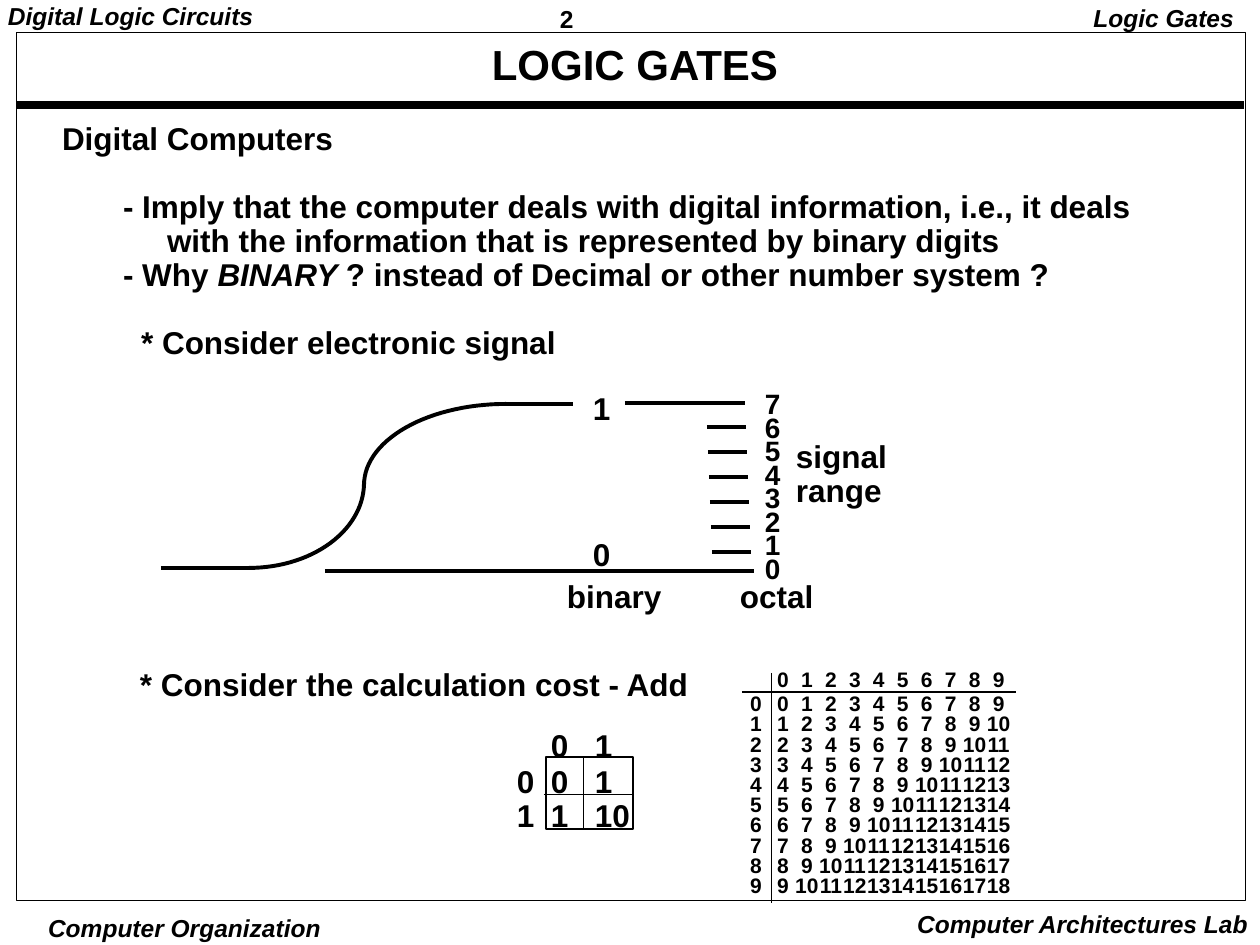
"""Build the Logic Gates slide on why digital computers use binary."""
import math

import pptx
import pptx.dml.color
import pptx.enum.shapes
import pptx.enum.text
import pptx.util
from lxml import etree

BLACK = pptx.dml.color.RGBColor(0, 0, 0)
LEFT = pptx.enum.text.PP_ALIGN.LEFT
CENTER = pptx.enum.text.PP_ALIGN.CENTER
RIGHT = pptx.enum.text.PP_ALIGN.RIGHT
TOP = pptx.enum.text.MSO_ANCHOR.TOP
MIDDLE = pptx.enum.text.MSO_ANCHOR.MIDDLE
RECTANGLE = pptx.enum.shapes.MSO_SHAPE.RECTANGLE
STRAIGHT = pptx.enum.shapes.MSO_CONNECTOR.STRAIGHT
NO_AUTOFIT = pptx.enum.text.MSO_AUTO_SIZE.NONE
DRAWING = "{http://schemas.openxmlformats.org/drawingml/2006/main}"
PLAIN_TABLE = "{2D5ABB26-0587-4C30-8999-92F81FD0307C}"
SCALE = 914400 / 126


def px(length):
    return round(length * SCALE)


def write(paragraph, text, size=18, italic=False, align=LEFT, spacing=0.9):
    paragraph.alignment = align
    paragraph.line_spacing = pptx.util.Pt(size * 1.2 * spacing)
    run = paragraph.add_run()
    run.text = text
    run.font.name = "Arial"
    run.font.size = pptx.util.Pt(size)
    run.font.bold = True
    run.font.italic = italic
    run.font.color.rgb = BLACK


deck = pptx.Presentation()
deck.slide_width, deck.slide_height = px(1260), px(945)
slide = deck.slides.add_slide(deck.slide_layouts[1])
shapes = slide.shapes
title, body = slide.placeholders

for holder, box, inset in (
    (title, (59, 40, 1152, 53), (9, 4)),
    (body, (49, 117, 1104, 251), (13, 6)),
):
    holder.left, holder.top, holder.width, holder.height = map(px, box)
    frame = holder.text_frame
    frame.auto_size = NO_AUTOFIT
    frame.vertical_anchor = TOP
    frame.margin_left = frame.margin_right = px(inset[0])
    frame.margin_top = frame.margin_bottom = px(inset[1])

write(title.text_frame.paragraphs[0], "LOGIC GATES", size=24, align=CENTER)

points = (
    (["Digital Computers"], 0, 0, 0),
    (["- Imply that the computer deals with digital information, i.e., it deals "
      "with the information that is represented by binary digits"], 105, -44, 34),
    (["- Why ", "BINARY ", "? instead of Decimal or other number system ?"], 105, -44, 0),
    (["* Consider electronic signal"], 79, 0, 34),
)
for number, (parts, margin, indent, gap) in enumerate(points):
    frame = body.text_frame
    paragraph = frame.add_paragraph() if number else frame.paragraphs[0]
    properties = paragraph._p.get_or_add_pPr()
    properties.set("marL", str(px(margin)))
    properties.set("indent", str(px(indent)))
    etree.SubElement(properties, DRAWING + "buNone")
    paragraph.space_before = px(gap)
    for part in parts:
        write(paragraph, part, italic=part == "BINARY ")

header = {"size": 14, "italic": True}
labels = (
    ("2", (551, 0, 136, 37), (9, 4), {"size": 14, "spacing": 1.01}),
    ("Digital Logic Circuits", (-1, 0, 300, 37), (9, 4), header),
    ("Logic Gates", (1043, 0, 200, 35), (9, 4), {**header, "align": RIGHT, "spacing": 0.97}),
    ("Computer Organization", (44, 912, 320, 33), (4, 1), {**header, "spacing": 1}),
    ("Computer Architectures Lab", (861, 903, 400, 42), (13, 6),
     {**header, "align": RIGHT, "spacing": 1}),
    ("signal\nrange", (783, 435, 140, 81), (13, 6), {}),
    ("1", (580, 387, 43, 47), (13, 6), {}),
    ("0", (580, 533, 43, 47), (13, 6), {}),
    ("7\n6\n5\n4\n3\n2\n1\n0", (752, 391, 42, 200), (13, 6), {"size": 16, "spacing": 0.7}),
    ("binary", (554, 575, 140, 47), (13, 6), {}),
    ("octal", (727, 575, 120, 47), (13, 6), {}),
    ("* Consider the calculation cost - Add", (127, 663, 600, 47), (13, 6), {}),
)
for text, box, inset, style in labels:
    frame = shapes.add_textbox(*map(px, box)).text_frame
    frame.word_wrap = True
    frame.margin_left = frame.margin_right = px(inset[0])
    frame.margin_top = frame.margin_bottom = px(inset[1])
    for number, line in enumerate(text.split("\n")):
        paragraph = frame.add_paragraph() if number else frame.paragraphs[0]
        write(paragraph, line, **style)

binary_sums = [["", "0", "1"]] + [
    [f"{row:b}"] + [f"{row + column:b}" for column in range(2)] for row in range(2)]
decimal_sums = [["", *map(str, range(10))]] + [
    [str(row)] + [str(row + column) for column in range(10)] for row in range(10)]
additions = (
    (binary_sums, (517, 728), [34, 44, 37], [34] * 3, 18, LEFT, 0.9),
    (decimal_sums, (741, 668), [30] + [24] * 10, [28] + [20] * 10, 12, CENTER, 0.8),
)
for sums, (left, top), widths, heights, size, align, spacing in additions:
    table = shapes.add_table(
        len(heights), len(widths), px(left), px(top), px(sum(widths)), px(sum(heights))).table
    table.first_row = table.horz_banding = False
    table._tbl.tblPr[0].text = PLAIN_TABLE
    for column, width in zip(table.columns, widths):
        column.width = px(width)
    for row, height, values in zip(table.rows, heights, sums):
        row.height = px(height)
        for cell, value in zip(row.cells, values):
            cell.fill.background()
            cell.margin_left = cell.margin_right = cell.margin_top = cell.margin_bottom = 0
            cell.vertical_anchor = MIDDLE
            paragraph = cell.text_frame.paragraphs[0]
            if value:
                write(paragraph, value, size=size, align=align, spacing=spacing)
            else:
                paragraph._p.get_or_add_endParaRPr().set("sz", str(size * 100))

for box, weight in (((16, 33, 1229, 868), 0.5), ((546, 757, 87, 72), 1)):
    border = shapes.add_shape(RECTANGLE, *map(px, box))
    border.shadow.inherit = False
    border.fill.background()
    border.line.color.rgb = BLACK
    border.line.width = pptx.util.Pt(weight)

octal_ticks = [(707 + step, 427 + 25 * step, 746 + step, 427 + 25 * step, 2) for step in range(6)]
rules = [
    (16, 105, 1244, 105, 4.5),
    (161, 568, 250, 568, 2.25),
    (506, 404, 573, 404, 2.25),
    (625, 403, 745, 403, 2),
    (325, 571, 754, 571, 2),
    (583, 757, 583, 830, 0.5),
    (544, 794, 633, 794, 0.5),
    (742, 692, 1016, 692, 1),
    (771, 673, 771, 903, 0.5),
]
for *ends, weight in rules + octal_ticks:
    rule = shapes.add_connector(STRAIGHT, *map(px, ends))
    rule.line.color.rgb = BLACK
    rule.line.width = pptx.util.Pt(weight)
    etree.SubElement(rule._element.spPr, DRAWING + "effectLst")

angles = [math.radians(degree) for degree in range(0, 91, 3)]
rise = [(px(249 + 115 * math.sin(a)), px(483 + 85 * math.cos(a))) for a in angles]
rise += [(px(506 - 142 * math.cos(a)), px(485 - 81 * math.sin(a))) for a in angles]
builder = shapes.build_freeform(*rise[0])
builder.add_line_segments(rise[1:], close=False)
signal = builder.convert_to_shape()
signal.shadow.inherit = False
signal.fill.background()
signal.line.color.rgb = BLACK
signal.line.width = pptx.util.Pt(2.25)

deck.save("out.pptx")
